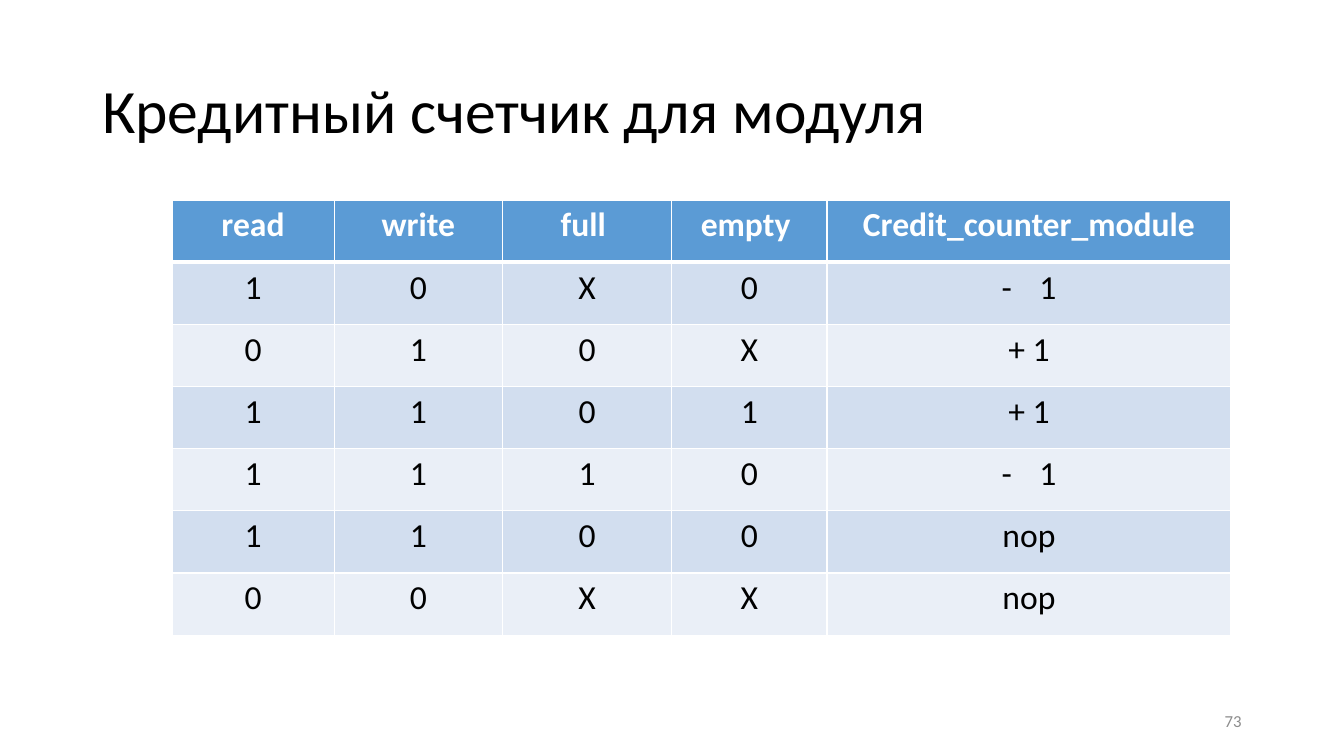
from lxml import etree
from pptx import Presentation
from pptx.dml.color import RGBColor
from pptx.enum.text import MSO_ANCHOR, PP_ALIGN
from pptx.oxml.ns import qn
from pptx.util import Pt

LEFT, CENTER, RIGHT = PP_ALIGN.LEFT, PP_ALIGN.CENTER, PP_ALIGN.RIGHT
MIDDLE = MSO_ANCHOR.MIDDLE

BLACK = RGBColor(0x00, 0x00, 0x00)
WHITE = RGBColor(0xFF, 0xFF, 0xFF)
GRAY = RGBColor(0x8C, 0x8C, 0x8C)
BLUE = RGBColor(0x5B, 0x9B, 0xD5)
BANDS = [RGBColor(0xD2, 0xDE, 0xEF), RGBColor(0xEA, 0xEF, 0xF7)]

WIDTHS = [115.9, 120.2, 121, 110.9, 288.5]
HEAD = ["read", "write", "full ", "empty ", "Credit_counter_module"]
ROWS = [
    ["1", "0", "X", "0", "- 1"],
    ["0", "1", "0", "X", "+ 1"],
    ["1", "1", "0", "1", "+ 1"],
    ["1", "1", "1", "0", "- 1"],
    ["1", "1", "0", "0", "nop"],
    ["0", "0", "X", "X", "nop"],
]


def write(frame, text, size=24, color=BLACK, bold=False, align=LEFT, space=None, bullet=None):
    para = frame.paragraphs[0]
    if bullet:
        props = para._p.get_or_add_pPr()
        props.set("marL", str(Pt(27)))
        props.set("indent", str(-Pt(27)))
        etree.SubElement(props, qn("a:buFont"), typeface="Calibri")
        etree.SubElement(props, qn("a:buChar"), char=bullet)
    para.alignment = align
    if space:
        para.line_spacing = space
    run = para.add_run()
    run.text = text
    font = run.font
    font.name = "Calibri"
    font.size = Pt(size)
    font.bold = bold
    font.color.rgb = color


def label(slide, box, text, **style):
    frame = slide.shapes.add_textbox(*map(Pt, box)).text_frame
    frame.word_wrap = True
    frame.vertical_anchor = MIDDLE
    write(frame, text, **style)


def border(cell, side, width):
    line = etree.SubElement(cell._tc.get_or_add_tcPr(), qn("a:" + side), w=str(Pt(width)))
    fill = etree.SubElement(line, qn("a:solidFill"))
    etree.SubElement(fill, qn("a:srgbClr"), val=str(WHITE))


def truth(slide, box):
    data = [HEAD] + ROWS
    table = slide.shapes.add_table(len(data), len(HEAD), *map(Pt, box)).table
    for col, width in zip(table.columns, WIDTHS):
        col.width = Pt(width)
    for r, row in enumerate(data):
        table.rows[r].height = Pt(box[3] / len(data))
        for c, text in enumerate(row):
            cell = table.cell(r, c)
            for side in ("lnL", "lnR", "lnT", "lnB"):
                thick = (r == 0 and side == "lnB") or (r == 1 and side == "lnT")
                border(cell, side, 3 if thick else 1)
            cell.fill.solid()
            cell.fill.fore_color.rgb = BANDS[(r - 1) % 2] if r else BLUE
            minus = text.startswith("-")
            write(cell.text_frame, text[2:] if minus else text, bold=r == 0, align=CENTER,
                  color=BLACK if r else WHITE, bullet="-" if minus else None)


def main():
    deck = Presentation()
    deck.slide_width, deck.slide_height = Pt(960), Pt(540)
    slide = deck.slides.add_slide(deck.slide_layouts[6])
    label(slide, (66, 28.8, 828, 104.4), "Кредитный счетчик для модуля", size=44, space=0.9)
    truth(slide, (122.8, 142.8, sum(WIDTHS), 311))
    label(slide, (678, 500.5, 216, 28.8), "73", size=12, color=GRAY, align=RIGHT)
    deck.save("out.pptx")


if __name__ == "__main__":
    main()
